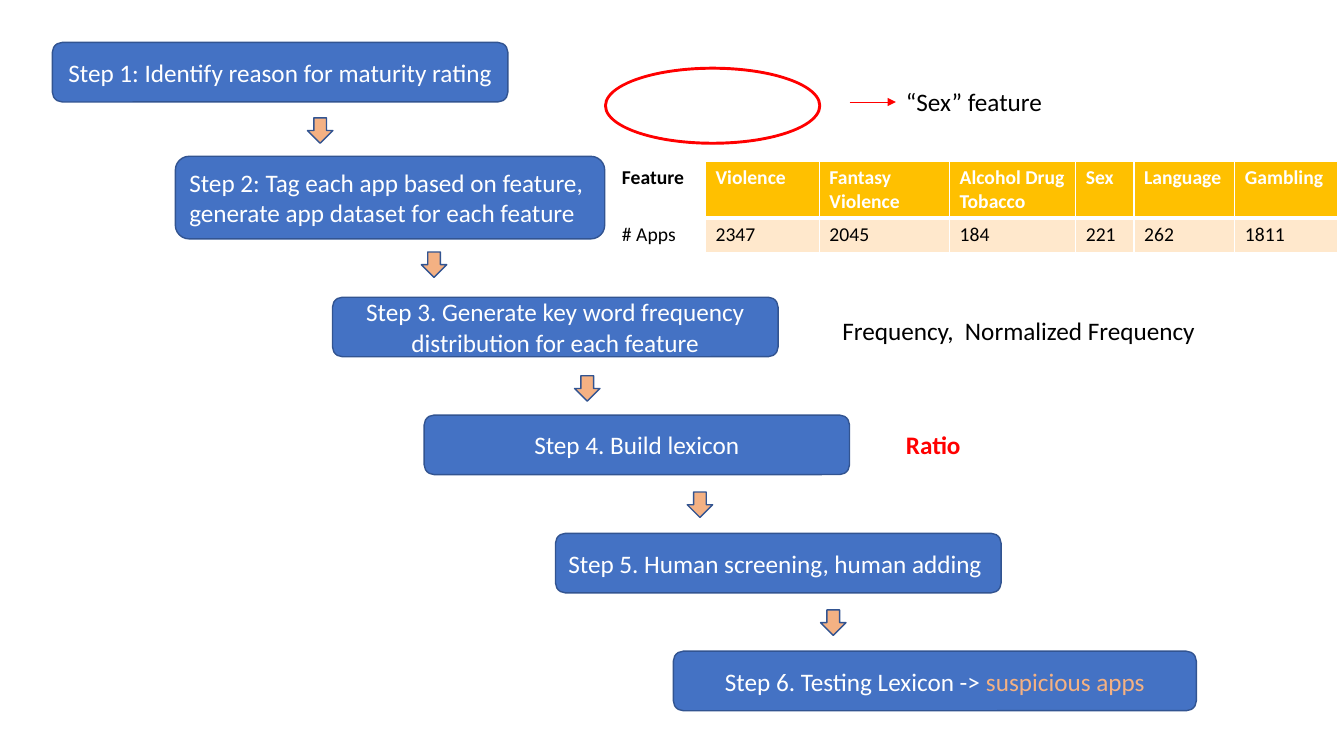
import pptx
import pptx.dml.color
import pptx.enum.dml
import pptx.enum.shapes
import pptx.enum.text
import pptx.oxml
import pptx.oxml.ns
import pptx.util
from lxml import etree

Cm = pptx.util.Cm
Pt = pptx.util.Pt
RGBColor = pptx.dml.color.RGBColor
Shape = pptx.enum.shapes.MSO_SHAPE
Align = pptx.enum.text.PP_ALIGN

BLUE = RGBColor(0x44, 0x72, 0xC4)
DARK_BLUE = RGBColor(0x32, 0x54, 0x91)
PEACH = RGBColor(0xF4, 0xB1, 0x83)
GOLD = RGBColor(0xFF, 0xC0, 0x00)
CREAM = RGBColor(0xFF, 0xE8, 0xCC)
RED = RGBColor(0xFF, 0x00, 0x00)
BLACK = RGBColor(0x00, 0x00, 0x00)
WHITE = RGBColor(0xFF, 0xFF, 0xFF)

deck = pptx.Presentation()
deck.slide_width = Cm(33.87)
deck.slide_height = Cm(19.05)
slide = deck.slides.add_slide(deck.slide_layouts[6])


def add_figure(kind, left, top, width, height, fill, outline):
    figure = slide.shapes.add_shape(kind, Cm(left), Cm(top), Cm(width), Cm(height))
    figure.shadow.inherit = False
    figure.fill.solid()
    figure.fill.fore_color.rgb = fill
    figure.line.color.rgb = outline
    figure.line.width = Pt(1)
    return figure


def set_font(paragraph, size, color, bold=False):
    paragraph.font.name = "Calibri"
    paragraph.font.size = Pt(size)
    paragraph.font.color.rgb = color
    paragraph.font.bold = bold


# Staircase of steps
steps = [
    ("Step 1: Identify reason for maturity rating", 1.32, 1.07, 11.48, 1.5, Align.CENTER),
    ("Step 2: Tag each app based on feature, generate app dataset for each feature",
     4.42, 3.94, 10.82, 2.08, Align.LEFT),
    ("Step 3. Generate key word frequency distribution for each feature",
     8.38, 7.49, 11.23, 1.5, Align.CENTER),
    ("Step 4. Build lexicon", 10.69, 10.46, 10.72, 1.5, Align.CENTER),
    ("Step 5. Human screening, human adding", 14, 13.44, 11.23, 1.5, Align.LEFT),
    ("Step 6. Testing Lexicon -> ", 16.97, 16.41, 13.18, 1.5, Align.CENTER),
]
for text, left, top, width, height, alignment in steps:
    box = add_figure(Shape.ROUNDED_RECTANGLE, left, top, width, height, BLUE, DARK_BLUE)
    box.text_frame.word_wrap = True
    box.text_frame.vertical_anchor = pptx.enum.text.MSO_ANCHOR.MIDDLE
    para = box.text_frame.paragraphs[0]
    para.add_run().text = text
    para.alignment = alignment
    set_font(para, 18, WHITE)

# The last step ends in a highlighted phrase
span = para.add_run()
span.text = "suspicious apps"
span.font.color.rgb = PEACH

for left, top in [(7.75, 2.97), (10.62, 6.35), (14.48, 9.47), (17.32, 12.4), (20.68, 15.37)]:
    add_figure(Shape.DOWN_ARROW, left, top, 0.64, 0.64, PEACH, DARK_BLUE)

# Red ring and its pointer
ring = add_figure(Shape.DONUT, 15.24, 1.7, 5.44, 1.93, RED, RED)
ring.adjustments[0] = 0.02

pointer = slide.shapes.add_connector(
    pptx.enum.shapes.MSO_CONNECTOR.STRAIGHT, Cm(21.41), Cm(2.57), Cm(22.58), Cm(2.57))
pointer.line.color.rgb = RED
pointer.line.width = Pt(0.5)
etree.SubElement(pointer.line._get_or_add_ln(), pptx.oxml.ns.qn("a:tailEnd"), type="triangle")
etree.SubElement(pointer._element.spPr, pptx.oxml.ns.qn("a:effectLst"))

# Side notes
notes = [
    ("“Sex” feature", 22.58, 2.06, 3.99, BLACK, False),
    ("Ratio", 22.58, 10.7, 1.91, RED, True),
    ("Frequency,  Normalized Frequency", 20.98, 7.82, 9.45, BLACK, False),
]
for text, left, top, width, color, bold in notes:
    note = slide.shapes.add_textbox(Cm(left), Cm(top), Cm(width), Cm(1.03))
    note.text_frame.word_wrap = width > 5
    note.text_frame.auto_size = pptx.enum.text.MSO_AUTO_SIZE.SHAPE_TO_FIT_TEXT
    note.text_frame.text = text
    set_font(note.text_frame.paragraphs[0], 18, color, bold)

# Number of apps per feature
rows = [
    ["Feature", "Violence", "Fantasy Violence", "Alcohol Drug Tobacco", "Sex", "Language", "Gambling"],
    ["# Apps", "2347", "2045", "184", "221", "262", "1811"],
]
column_widths = [2.36, 2.87, 3.28, 3.18, 1.47, 2.54, 2.59]
row_heights = [1.42, 0.86]
table = slide.shapes.add_table(
    len(rows), len(column_widths), Cm(15.42), Cm(4.06),
    Cm(sum(column_widths)), Cm(sum(row_heights))).table
for column, width in zip(table.columns, column_widths):
    column.width = Cm(width)
for row, height in zip(table.rows, row_heights):
    row.height = Cm(height)

for row_index, texts in enumerate(rows):
    is_header = row_index == 0
    for column_index, text in enumerate(texts):
        is_label = column_index == 0
        cell = table.cell(row_index, column_index)
        cell.text = text
        color = WHITE if is_header and not is_label else BLACK
        set_font(cell.text_frame.paragraphs[0], 14, color, is_header)
        properties = cell._tc.get_or_add_tcPr()
        middle_border = "lnB" if is_header else "lnT"
        for side in ("lnL", "lnR", "lnT", "lnB"):
            border_width = Pt(3) if side == middle_border else Pt(1)
            properties.append(pptx.oxml.parse_xml(
                f'<a:{side} {pptx.oxml.ns.nsdecls("a")} w="{border_width}">'
                f'<a:solidFill><a:srgbClr val="{WHITE}"/></a:solidFill></a:{side}>'))
        cell.fill.solid()
        cell.fill.fore_color.rgb = WHITE if is_label else GOLD if is_header else CREAM

deck.save("out.pptx")
